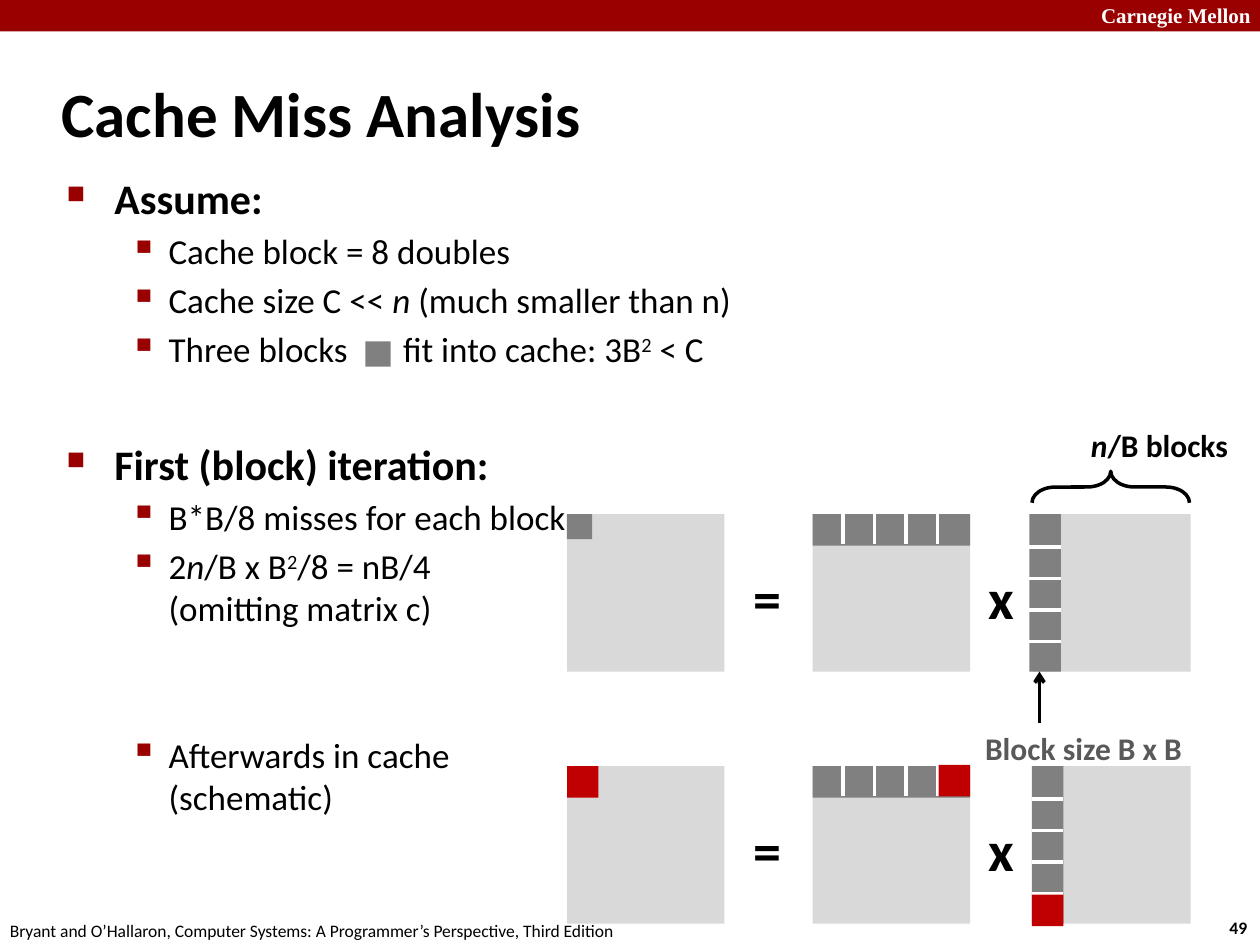
from lxml import etree
from pptx import Presentation
from pptx.dml.color import RGBColor
from pptx.enum.shapes import MSO_CONNECTOR, MSO_SHAPE
from pptx.enum.text import MSO_ANCHOR
from pptx.oxml.ns import qn
from pptx.util import Inches, Pt

RECTANGLE, BRACE = MSO_SHAPE.RECTANGLE, MSO_SHAPE.LEFT_BRACE
STRAIGHT = MSO_CONNECTOR.STRAIGHT
MIDDLE, TOP = MSO_ANCHOR.MIDDLE, MSO_ANCHOR.TOP
CRIMSON = RGBColor(0x99, 0x00, 0x00)
RED = RGBColor(0xC0, 0x00, 0x00)
LIGHT = RGBColor(0xD9, 0xD9, 0xD9)
GRAY = RGBColor(0x80, 0x80, 0x80)
DARK = RGBColor(0x59, 0x59, 0x59)
BLACK = RGBColor(0, 0, 0)
WHITE = RGBColor(0xFF, 0xFF, 0xFF)

# Content: (level, space before in points, [(text, style), ...])
BODY = [
    (0, 0, [("Assume:", "")]),
    (1, 4, [("Cache block = 8 doubles", "")]),
    (1, 4, [("Cache size C << ", ""), ("n", "italic"), (" (much smaller than n)", "")]),
    (1, 4, [("Three blocks", ""), (" ", "gap"), ("fit into cache: 3B", ""),
            ("2", "super"), (" < C", "")]),
    (0, 39, [("First (block) iteration:", "")]),
    (1, 4, [("B*B/8 misses for each block", "")]),
    (1, 4, [("2", ""), ("n", "italic"), ("/B x B", ""), ("2", "super"),
            ("/8 = nB/4", ""), ("", "break"), ("(omitting matrix c)", "")]),
    (1, 60, [("Afterwards in cache", ""), ("", "break"), ("(schematic)", "")]),
]
# Per level: indent, hanging, bullet, bullet size in percent, text size, bold
LEVELS = [(0.38, 0.38, "■", 60, 24, True), (0.81, 0.31, "▪", 110, 20, False)]
# Per label: left, top, width, height, size, bold, colour, font, runs
LABELS = [
    (8.64, -0.03, 1.43, 0.3, 12, True, WHITE, "Times New Roman", [("Carnegie Mellon", "")]),
    (9.66, 7.23, 0.37, 0.27, 10, True, BLACK, "Calibri", [("49", "")]),
    (-0.02, 7.25, 5.08, 0.27, 10, False, BLACK, "Calibri",
     [("Bryant and O’Hallaron, Computer Systems: A Programmer’s Perspective, Third Edition", "")]),
    (7.72, 5.74, 1.78, 0.4, 18, True, DARK, "Calibri", [("Block size B x B", "")]),
    (8.56, 3.33, 1.3, 0.4, 18, True, BLACK, "Calibri", [("n", "italic"), ("/B blocks", "")]),
]
MATRICES = [4.5, 6.45, 8.2]
SIGNS = [("=", 5.88, 0.43), ("x", 7.75, 0.41)]
SIDE, BLOCK, SMALL, COUNT = 1.25, 0.25, 0.2, 5
# Per equation: top, left edge of the gray column
EQUATIONS = [(6.08, 8.19), (4.08, 8.17)]
CACHED = [(4.5, 6.08), (7.45, 6.07), (8.19, 7.1)]

deck = Presentation()
deck.slide_width, deck.slide_height = Inches(10), Inches(7.5)
page = deck.slides.add_slide(deck.slide_layouts[6])


def add_box(left, top, width, height, wrap=False, anchor=TOP):
    box = page.shapes.add_textbox(Inches(left), Inches(top), Inches(width), Inches(height))
    box.text_frame.word_wrap = wrap
    box.text_frame.vertical_anchor = anchor
    return box.text_frame


def add_runs(para, runs, size, bold, color=BLACK, font="Calibri"):
    for text, style in runs:
        if style == "break":
            para.add_line_break()
            continue
        span = para.add_run()
        span.text = text
        span.font.size, span.font.bold, span.font.name = Pt(size), bold, font
        span.font.color.rgb = color
        if style == "italic":
            span.font.italic = True
        elif style == "super":
            span.font._element.set("baseline", "30000")
        elif style == "gap":  # wide space that leaves room for the inline block
            span.font._element.set("spc", "2700")


def add_rect(left, top, width, height, color):
    rect = page.shapes.add_shape(RECTANGLE, Inches(left), Inches(top),
                                 Inches(width), Inches(height))
    rect.shadow.inherit = False
    rect.fill.solid()
    rect.fill.fore_color.rgb = color
    rect.line.fill.background()


def add_line(x1, y1, x2, y2, color):
    line = page.shapes.add_connector(STRAIGHT, Inches(x1), Inches(y1), Inches(x2), Inches(y2))
    line.line.color.rgb = color
    line.line.width = Pt(2)
    etree.SubElement(line._element.spPr, qn("a:effectLst"))
    return line


def add_bullet(para, indent, hanging, mark, percent):
    props = para._p.get_or_add_pPr()
    props.set("marL", str(Inches(indent)))
    props.set("indent", str(-Inches(hanging)))
    color = etree.SubElement(props, qn("a:buClr"))
    etree.SubElement(color, qn("a:srgbClr"), val=str(CRIMSON))
    etree.SubElement(props, qn("a:buSzPct"), val=str(percent * 1000))
    etree.SubElement(props, qn("a:buChar"), char=mark)


# Header band and title
add_rect(0, 0, 10, 0.25, CRIMSON)
title = add_box(0.39, 0.48, 8.3, 0.83, wrap=True, anchor=MIDDLE)
add_runs(title.paragraphs[0], [("Cache Miss Analysis", "")], 36, True)

# Bulleted body
body = add_box(0.43, 1.32, 8.64, 5.3, wrap=True)
for index, (level, before, runs) in enumerate(BODY):
    para = body.paragraphs[0] if index == 0 else body.add_paragraph()
    para.level = level
    indent, hanging, mark, percent, size, bold = LEVELS[level]
    para.space_before = Pt(before)
    add_bullet(para, indent, hanging, mark, percent)
    add_runs(para, runs, size, bold)
add_rect(2.9, 2.71, SMALL, SMALL, GRAY)

# Matrix equations
for top, column in EQUATIONS:
    for left in MATRICES:
        add_rect(left, top, SIDE, SIDE, LIGHT)
    for sign, left, width in SIGNS:
        add_runs(add_box(left, top + 0.34, width, 0.64).paragraphs[0], [(sign, "")], 32, True)
    row = MATRICES[1]
    add_rect(row, top, SIDE, BLOCK, GRAY)
    add_rect(column, top, BLOCK, SIDE, GRAY)
    for step in range(1, COUNT):
        x, y = row + step * BLOCK - 0.01, top + step * BLOCK + 0.01
        add_line(x, top - 0.01, x, top + BLOCK - 0.01, WHITE)
        add_line(column + BLOCK, y, column, y, WHITE)
add_rect(MATRICES[0], 4.08, SMALL, SMALL, GRAY)
for left, top in CACHED:
    add_rect(left, top, BLOCK, BLOCK, RED)

# Brace over the column matrix and arrow to its blocks
brace = page.shapes.add_shape(BRACE, Inches(8.69), Inches(3.24), Inches(BLOCK), Inches(SIDE))
brace.rotation = 90
brace.adjustments[0] = 0.75
brace.shadow.inherit = False
brace.fill.background()
brace.line.color.rgb = BLACK
brace.line.width = Pt(2)
arrow = add_line(8.25, 5.74, 8.25, 5.33, BLACK)
etree.SubElement(arrow.line._get_or_add_ln(), qn("a:tailEnd"), type="arrow")

# Labels
for left, top, width, height, size, bold, color, font, runs in LABELS:
    add_runs(add_box(left, top, width, height).paragraphs[0], runs, size, bold, color, font)

deck.save("out.pptx")
